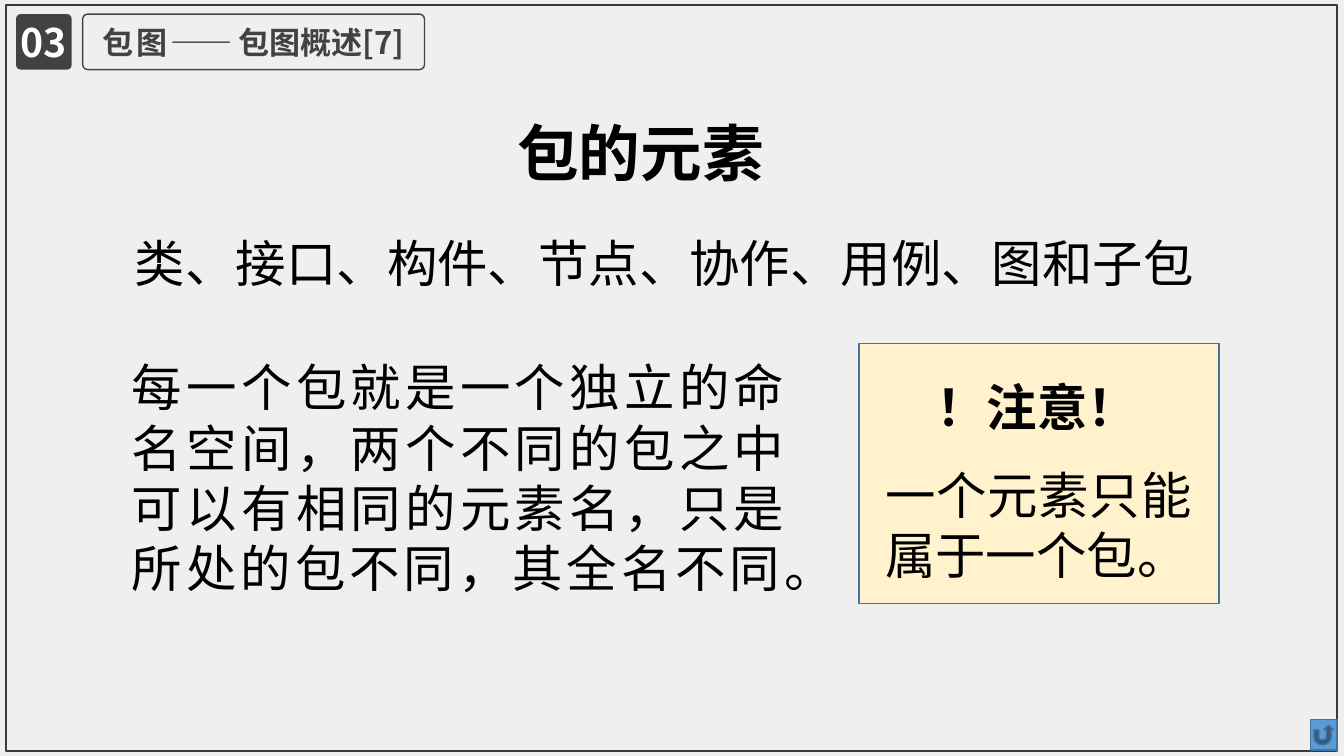
from lxml.etree import SubElement
from pptx import Presentation
from pptx.dml.color import RGBColor
from pptx.enum.shapes import MSO_SHAPE
from pptx.enum.text import MSO_ANCHOR, MSO_AUTO_SIZE, PP_ALIGN
from pptx.oxml.ns import qn
from pptx.util import Inches, Pt

FONT = "Noto Sans CJK SC"
BACKGROUND = RGBColor(0xEF, 0xEF, 0xEF)
FRAME = RGBColor(0x3A, 0x3A, 0x3A)
DARK = RGBColor(0x42, 0x42, 0x42)
BLACK = RGBColor(0, 0, 0)
WHITE = RGBColor(0xFF, 0xFF, 0xFF)
CREAM = RGBColor(0xFF, 0xF2, 0xCC)
BLUE = RGBColor(0x5B, 0x9B, 0xD5)
BLUE_LINE = RGBColor(0x43, 0x73, 0x9E)
LINE_RATIO = 1.2  # line height as a share of the text size

presentation = Presentation()
presentation.slide_width = Inches(13.33)
presentation.slide_height = Inches(7.5)
slide = presentation.slides.add_slide(presentation.slide_layouts[5])
slide.background.fill.solid()
slide.background.fill.fore_color.rgb = BACKGROUND


def add_box(kind, box, fill=None, line=None, corner=None):
    shape = slide.shapes.add_shape(kind, *map(Inches, box))
    shape.shadow.inherit = False
    if fill is None:
        shape.fill.background()
    else:
        shape.fill.solid()
        shape.fill.fore_color.rgb = fill
    if line is None:
        shape.line.fill.background()
    else:
        shape.line.color.rgb = line
        shape.line.width = Pt(1)
    if corner is not None:
        shape.adjustments[0] = corner
    return shape


def add_run(paragraph, text, size, color=BLACK, bold=False, spacing=0):
    run = paragraph.add_run()
    run.text = text
    run.font.size = Pt(size)
    run.font.bold = bold
    run.font.color.rgb = color
    run.font.name = FONT
    properties = run.font._element
    properties.set("lang", "zh-CN")
    properties.set("spc", str(spacing * 100))
    SubElement(properties, qn("a:ea")).set("typeface", FONT)


# Page frame
add_box(MSO_SHAPE.RECTANGLE, (0.06, 0.05, 13.2, 7.4), line=FRAME)

# Section header: number and name
number = add_box(MSO_SHAPE.ROUNDED_RECTANGLE, (0.16, 0.14, 0.55, 0.55), fill=DARK, corner=0.08)
section = add_box(MSO_SHAPE.ROUNDED_RECTANGLE, (0.82, 0.14, 3.39, 0.55), line=DARK, corner=0.09)
for shape, runs in (
    (number, [("03", 28, WHITE, True)]),
    (section, [("包图——", 22.2, DARK, True, 2), ("包图概述[7]", 22.2, DARK, True)]),
):
    frame = shape.text_frame
    frame.margin_left = frame.margin_right = frame.margin_top = frame.margin_bottom = 0
    frame.vertical_anchor = MSO_ANCHOR.MIDDLE
    frame.word_wrap = True
    frame.paragraphs[0].alignment = PP_ALIGN.CENTER
    for run_values in runs:
        add_run(frame.paragraphs[0], *run_values)

# Notice panel
add_box(MSO_SHAPE.RECTANGLE, (8.52, 3.41, 3.57, 2.58), fill=CREAM, line=BLUE_LINE)

# Title and body texts: shape, box, text, size, bold, wrap
title = slide.shapes.title
texts = [
    (title, (5.03, 1.03, 2.67, 0.84), "包的元素", 44, True, False),
    (None, (1.24, 2.2, 10.85, 0.71), "类、接口、构件、节点、协作、用例、图和子包", 36, False, True),
    (None, (1.21, 3.43, 6.67, 2.52),
     "每一个包就是一个独立的命名空间，两个不同的包之中可以有相同的元素名，只是所处的包不同，其全名不同。",
     36, False, True),
    (None, (9.19, 3.62, 2.22, 0.71), "！注意！", 36, True, False),
    (None, (8.68, 4.5, 3.24, 1.31), "一个元素只能属于一个包。", 36, False, True),
]
for shape, box, text, size, bold, wrap in texts:
    left, top, width, height = map(Inches, box)
    shape = shape or slide.shapes.add_textbox(left, top, width, height)
    shape.left, shape.top, shape.width, shape.height = left, top, width, height
    frame = shape.text_frame
    frame.auto_size = MSO_AUTO_SIZE.NONE
    frame.word_wrap = wrap
    frame.vertical_anchor = MSO_ANCHOR.TOP
    frame.margin_left = frame.margin_right = Inches(0.1)
    frame.margin_top = Inches(0.11)
    frame.margin_bottom = 0
    paragraph = frame.paragraphs[0]
    paragraph.alignment = PP_ALIGN.JUSTIFY
    paragraph.line_spacing = Pt(round(size * LINE_RATIO))
    add_run(paragraph, text, size, bold=bold)

# Return button
add_box(MSO_SHAPE.ACTION_BUTTON_RETURN, (13, 7.14, 0.26, 0.3), fill=BLUE, line=BLUE_LINE)

presentation.save("out.pptx")
